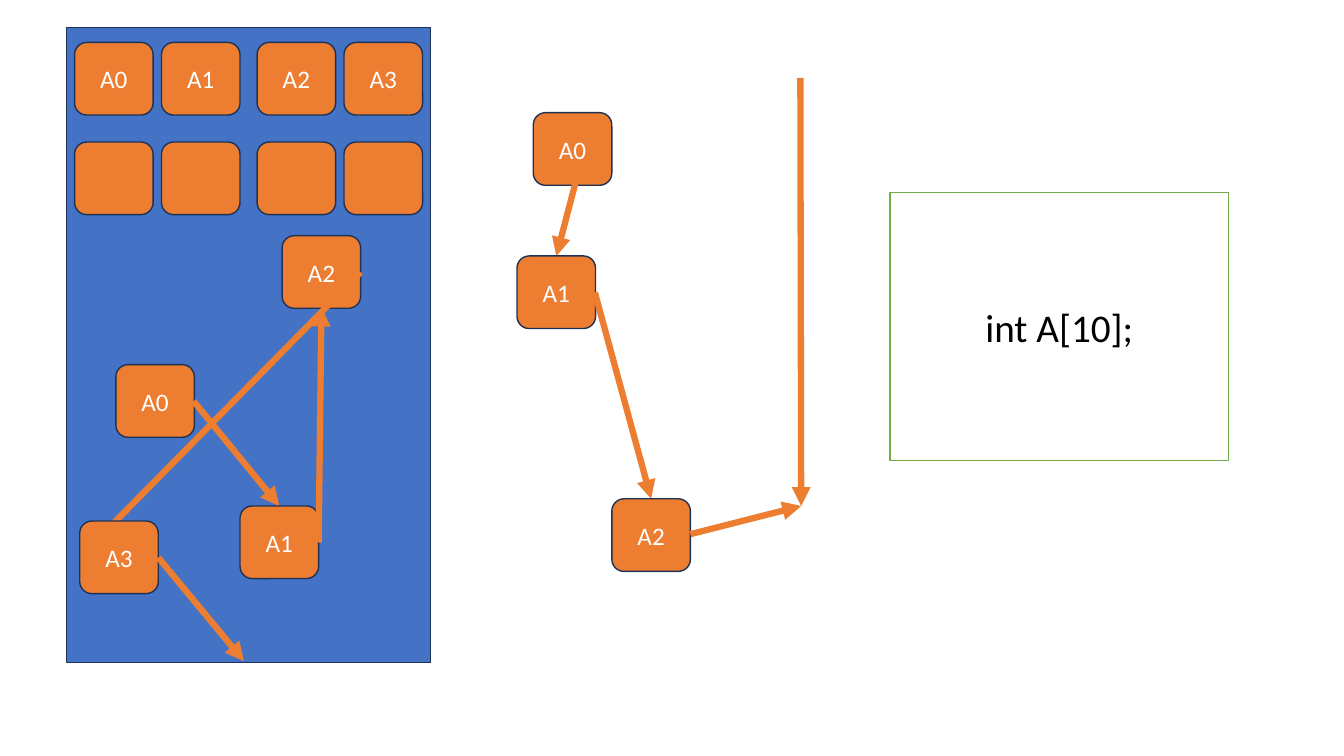
from lxml import etree
from pptx import Presentation
from pptx.dml.color import RGBColor
from pptx.enum.shapes import MSO_CONNECTOR, MSO_SHAPE
from pptx.enum.text import MSO_ANCHOR, PP_ALIGN
from pptx.oxml.ns import qn
from pptx.util import Cm, Pt

RECT = MSO_SHAPE.RECTANGLE
ROUNDED = MSO_SHAPE.ROUNDED_RECTANGLE
STRAIGHT = MSO_CONNECTOR.STRAIGHT
MIDDLE = MSO_ANCHOR.MIDDLE
CENTER = PP_ALIGN.CENTER

COLORS = {
    "memory": "4472C4",
    "cell": "ED7D31",
    "outline": "1E3256",
    "code_border": "70AD47",
    "white": "FFFFFF",
    "black": "000000",
}
CELL_WIDTH, CELL_HEIGHT = 1.98, 1.83


def add_box(shapes, kind, bounds, fill, border, text="", size=18, ink="white"):
    box = shapes.add_shape(kind, *[Cm(length) for length in bounds])
    box.shadow.inherit = False
    box.fill.solid()
    box.fill.fore_color.rgb = RGBColor.from_string(COLORS[fill])
    box.line.color.rgb = RGBColor.from_string(COLORS[border])
    box.line.width = Pt(1)
    if text:
        box.text_frame.vertical_anchor = MIDDLE
        paragraph = box.text_frame.paragraphs[0]
        paragraph.alignment = CENTER
        run = paragraph.add_run()
        run.text = text
        run.font.name = "Calibri"
        run.font.size = Pt(size)
        run.font.color.rgb = RGBColor.from_string(COLORS[ink])


def add_arrow(shapes, ends):
    arrow = shapes.add_connector(STRAIGHT, *[Cm(length) for length in ends])
    arrow.line.color.rgb = RGBColor.from_string(COLORS["cell"])
    arrow.line.width = Pt(4.5)
    etree.SubElement(arrow.line._get_or_add_ln(), qn("a:tailEnd"), type="triangle")
    etree.SubElement(arrow._element.spPr, qn("a:effectLst"))


deck = Presentation()
deck.slide_width, deck.slide_height = Cm(33.87), Cm(19.05)
slide = deck.slides.add_slide(deck.slide_layouts[6])

add_box(slide.shapes, RECT, (1.68, 0.69, 9.17, 16), "memory", "outline")

for top, labels in [(1.07, ["A0", "A1", "A2", "A3"]), (3.58, [""] * 4)]:
    for index, label in enumerate(labels):
        pair, place = divmod(index, 2)
        left = 1.88 + 4.6 * pair + 2.19 * place
        add_box(slide.shapes, ROUNDED, (left, top, CELL_WIDTH, CELL_HEIGHT),
                "cell", "outline", label)

add_box(slide.shapes, RECT, (22.43, 4.85, 8.53, 6.76), "white", "code_border",
        "int A[10];", 28, "black")

linked_nodes = [
    ("A0", 2.92, 9.19, [(4.88, 10.11, 7.04, 12.75)]),
    ("A1", 6.05, 12.75, [(8.03, 13.67, 8.1, 7.75)]),
    ("A2", 7.11, 5.94, [(9.09, 6.86, 2.01, 14.05)]),
    ("A3", 2.01, 13.13, [(3.99, 14.05, 6.15, 16.66)]),
    ("A0", 13.44, 2.84, [(14.53, 4.5, 14.02, 6.45), (20.17, 1.96, 20.19, 12.75)]),
    ("A1", 13.03, 6.45, [(14.99, 7.37, 16.41, 12.57)]),
    ("A2", 15.42, 12.57, [(17.4, 13.46, 20.19, 12.75)]),
]
for label, left, top, pointers in linked_nodes:
    node = slide.shapes.add_group_shape()
    add_box(node.shapes, ROUNDED, (left, top, CELL_WIDTH, CELL_HEIGHT),
            "cell", "outline", label)
    for pointer in pointers:
        add_arrow(node.shapes, pointer)

deck.save("out.pptx")
